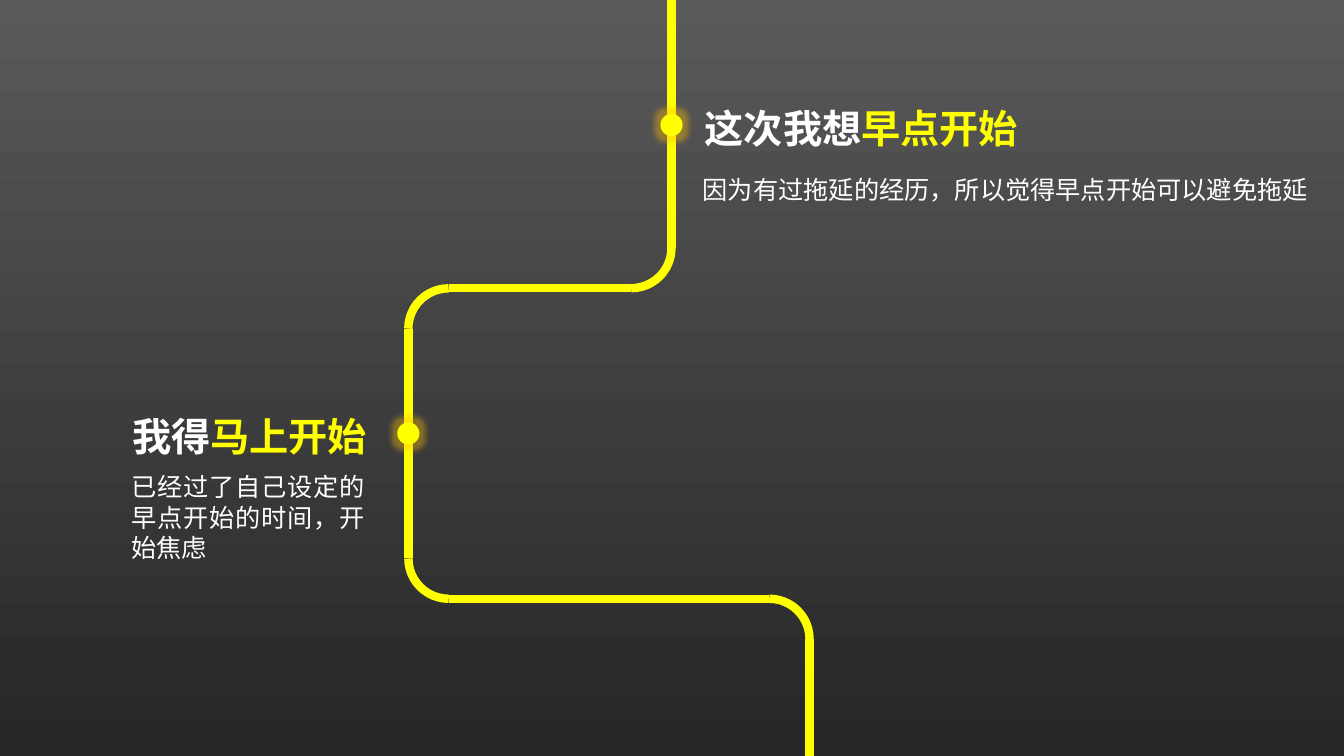
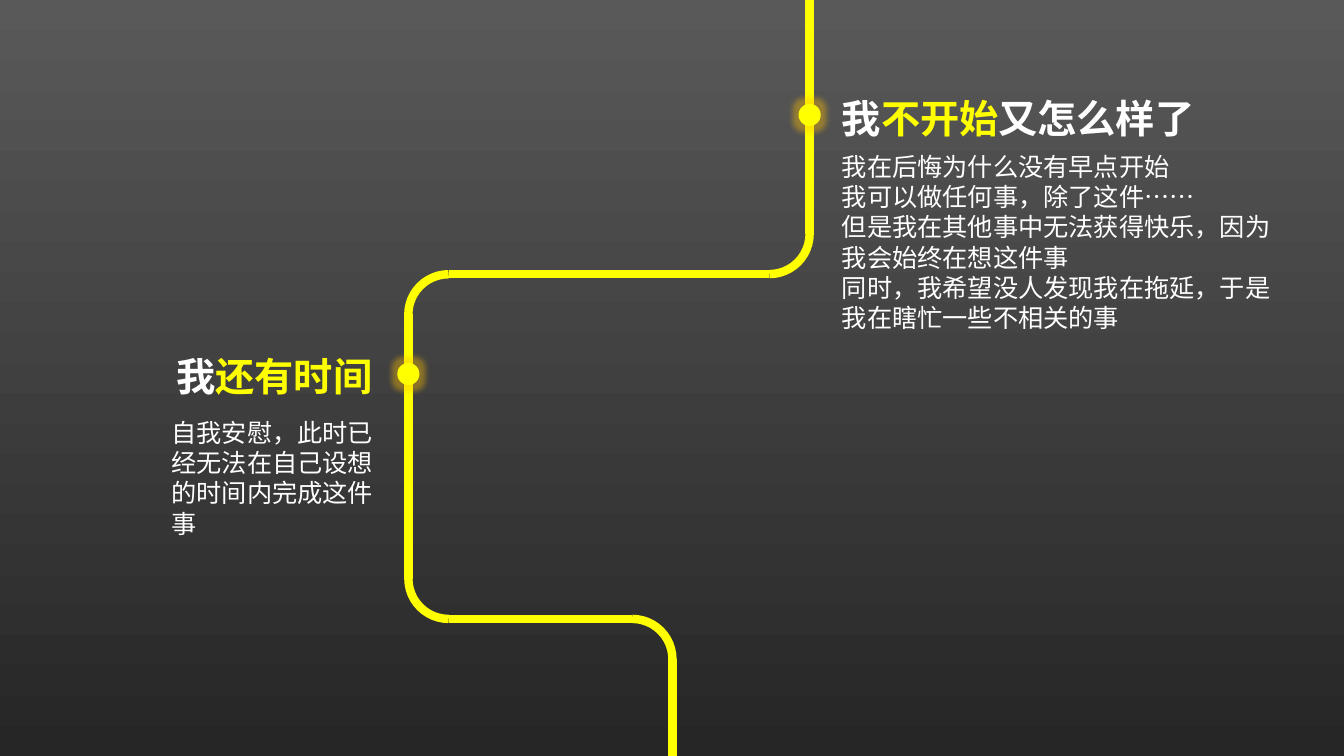
from dataclasses import dataclass

from lxml import etree
from pptx import Presentation
from pptx import util as u
from pptx.dml.color import RGBColor
from pptx.enum import shapes, text
from pptx.oxml import ns


@dataclass(frozen=True)
class Theme:
    """Colours, type and line sizes of the deck."""
    top: str = "595959"
    base: str = "262626"
    hot: str = "FFFF00"
    pale: str = "FFFFFF"
    glow: str = "FFC000"
    face: str = "Noto Sans CJK SC"
    head: int = 28
    body: int = 18
    lead: float = 1.2
    wire: int = 6
    bend: float = 0.4
    dot: float = 0.22


THEME = Theme()
WIDE, HIGH = 13.33, 7.5
LEFT, JUST = text.PP_ALIGN.LEFT, text.PP_ALIGN.JUSTIFY

SLIDES = [
    dict(track=(6.66, 2.86, 4.05, 5.94, 8.03), dots=(1.24, 4.3), items=[
        dict(head=(6.89, 0.96, 3.34, 0.57), body=(6.87, 1.65, 6.28, 0.4),
             title=[("这次我想", False), ("早点开始", True)],
             paras=["因为有过拖延的经历，所以觉得早点开始可以避免拖延"]),
        dict(head=(1.21, 4.01, 2.56, 0.57), body=(1.2, 4.6, 2.52, 1.01),
             title=[("我得", False), ("马上开始", True)], align=JUST,
             paras=["已经过了自己设定的早点开始的时间，开始焦虑"]),
    ]),
    dict(track=(8.03, 2.72, 4.05, 6.14, 6.67), dots=(1.14, 3.71), items=[
        dict(head=(8.25, 0.86, 3.74, 0.57), body=(8.25, 1.42, 4.51, 1.92),
             title=[("我", False), ("不开始", True), ("又怎么样了", False)],
             paras=["我在后悔为什么没有早点开始",
                    "我可以做任何事，除了这件……",
                    "但是我在其他事中无法获得快乐，因为我会始终在想这件事",
                    "同时，我希望没人发现我在拖延，于是我在瞎忙一些不相关的事"]),
        dict(head=(1.65, 3.42, 2.26, 0.57), body=(1.6, 4.06, 2.22, 1.31),
             title=[("我", False), ("还有时间", True)],
             paras=["自我安慰，此时已经无法在自己设想的时间内完成这件事"]),
    ]),
]


def rgb(code):
    """Turn a hex code into a colour."""
    return RGBColor.from_string(code)


def back(page):
    """Fill the background with the vertical gradient."""
    fill = page.background.fill
    fill.gradient()
    fill.gradient_angle = 270
    for stop, code in zip(fill.gradient_stops, (THEME.top, THEME.base)):
        stop.color.rgb = rgb(code)


def ink(line):
    """Give a line the colour and width of the track."""
    line.color.rgb = rgb(THEME.hot)
    line.width = u.Pt(THEME.wire)


def wire(slide, start, end):
    """Draw one straight stretch of the track."""
    ends = [u.Inches(v) for v in (*start, *end)]
    part = slide.shapes.add_connector(shapes.MSO_CONNECTOR.STRAIGHT, *ends)
    ink(part.line)
    etree.SubElement(part._element.spPr, ns.qn("a:effectLst"))


def curve(slide, left, top, turn):
    """Draw one rounded corner of the track."""
    size = u.Inches(2 * THEME.bend)
    arc = slide.shapes.add_shape(shapes.MSO_SHAPE.ARC, u.Inches(left),
                                 u.Inches(top), size, size)
    arc.rotation = turn
    arc.shadow.inherit = False
    arc.fill.background()
    ink(arc.line)


def track(slide, box, xs, ys):
    """Draw the S-shaped track through three columns and two rows of a box."""
    left, top, _, high = box
    first, mid, last = (left + x for x in xs)
    upper, lower = (top + y for y in ys)
    bend, size = THEME.bend, 2 * THEME.bend
    wire(slide, (first, top), (first, upper - bend))
    wire(slide, (first - bend, upper), (mid + bend, upper))
    wire(slide, (mid, upper + bend), (mid, lower - bend))
    wire(slide, (mid + bend, lower), (last - bend, lower))
    wire(slide, (last, lower + bend), (last, top + high))
    curve(slide, first - size, upper - size, 90)
    curve(slide, mid, upper, 270)
    curve(slide, mid, lower - size, 180)
    curve(slide, last - size, lower, 0)


def stop(slide, x, y):
    """Draw a glowing dot centred on a point."""
    size = THEME.dot
    dot = slide.shapes.add_shape(
        shapes.MSO_SHAPE.OVAL, u.Inches(x - size / 2), u.Inches(y - size / 2),
        u.Inches(size), u.Inches(size))
    dot.shadow.inherit = False
    dot.fill.solid()
    dot.fill.fore_color.rgb = rgb(THEME.hot)
    dot.line.fill.background()
    list_ = dot._element.spPr.find(ns.qn("a:effectLst"))
    glow = etree.SubElement(list_, ns.qn("a:glow"), rad=str(u.Pt(8)))
    tint = etree.SubElement(glow, ns.qn("a:srgbClr"), val=THEME.glow)
    etree.SubElement(tint, ns.qn("a:alpha"), val="40000")


def write(holder, box, paras, size, bold=False, wrap=True, align=LEFT):
    """Place a placeholder and fill it with paragraphs of runs."""
    holder.left, holder.top, holder.width, holder.height = map(u.Inches, box)
    frame = holder.text_frame
    frame.word_wrap = wrap
    frame.auto_size = text.MSO_AUTO_SIZE.NONE
    frame.vertical_anchor = text.MSO_ANCHOR.TOP
    frame.margin_left = frame.margin_right = u.Inches(0.1)
    frame.margin_top, frame.margin_bottom = u.Inches(0.08), 0
    for spot, runs in enumerate(paras):
        para = frame.add_paragraph() if spot else frame.paragraphs[0]
        props = para._p.get_or_add_pPr()
        props.set("marL", "0")
        props.set("indent", "0")
        etree.SubElement(props, ns.qn("a:buNone"))
        para.alignment = align
        para.space_before = para.space_after = u.Pt(0)
        para.line_spacing = u.Pt(size * THEME.lead)
        for words, hot in runs:
            run = para.add_run()
            run.text = words
            font = run.font
            font.size, font.bold, font.name = u.Pt(size), bold, THEME.face
            font.color.rgb = rgb(THEME.hot if hot else THEME.pale)
            look = run._r.get_or_add_rPr()
            look.set("lang", "zh-CN")
            etree.SubElement(look, ns.qn("a:ea"), typeface=THEME.face)


def entry(head, body, item):
    """Write one heading and the text below it."""
    write(head, item["head"], [item["title"]], THEME.head, True, False)
    paras = [[(words, False)] for words in item["paras"]]
    write(body, item["body"], paras, THEME.body,
          align=item.get("align", LEFT))


def build(deck, data):
    """Add one slide with its track, dots and two entries."""
    slide = deck.slides.add_slide(deck.slide_layouts.get_by_name("Comparison"))
    first, upper, mid, lower, last = data["track"]
    track(slide, (0, 0, WIDE, HIGH), (first, mid, last), (upper, lower))
    for x, y in zip((first, mid), data["dots"]):
        stop(slide, x, y)
    slots = {s.placeholder_format.idx: s for s in slide.placeholders}
    spare = slots[2]._element
    spare.getparent().remove(spare)
    for pair, item in zip(((0, 1), (3, 4)), data["items"]):
        entry(*(slots[k] for k in pair), item)


def main():
    """Build and save the deck."""
    deck = Presentation()
    deck.slide_width, deck.slide_height = u.Inches(WIDE), u.Inches(HIGH)
    back(deck.slide_master)
    for data in SLIDES:
        build(deck, data)
    deck.save("out.pptx")


if __name__ == "__main__":
    main()
